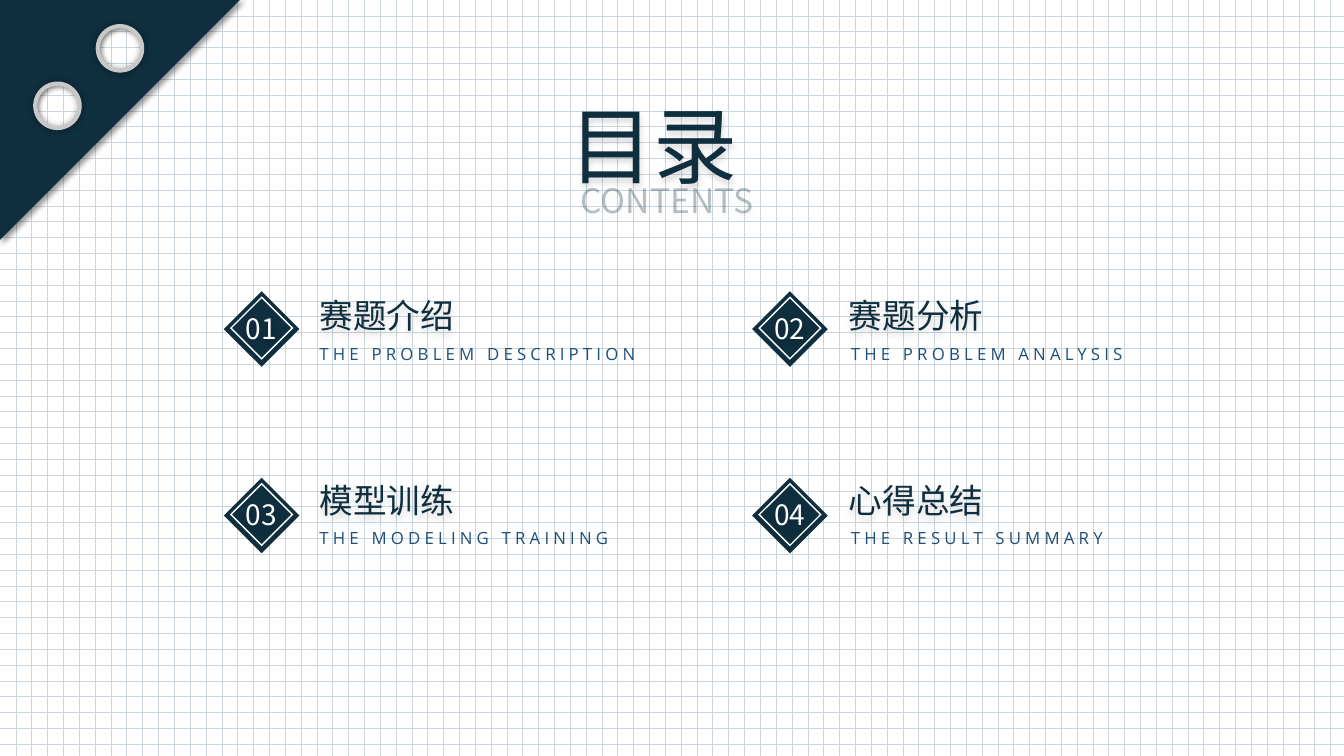
"""Build the contents slide with four numbered sections on a squared-paper background."""
from lxml.etree import SubElement
from pptx import Presentation
from pptx.dml.color import RGBColor
from pptx.enum.dml import MSO_PATTERN
from pptx.enum.shapes import MSO_SHAPE
from pptx.enum.text import MSO_ANCHOR, MSO_AUTO_SIZE, PP_ALIGN
from pptx.oxml.ns import qn
from pptx.util import Inches, Pt

NAVY = RGBColor(0x0F, 0x2E, 0x3E)
GRID_BLUE = RGBColor(0x1B, 0x51, 0x6D)
CAPTION_BLUE = RGBColor(0x1F, 0x4E, 0x79)
RING_GRAY = RGBColor(0xC8, 0xC8, 0xC8)
WHITE = RGBColor(0xFF, 0xFF, 0xFF)
CHINESE_FONT = "Noto Sans CJK SC"
LATIN_FONT = "Open Sans"


def write_text(shape, text, size, font, color, wrap=True, align=PP_ALIGN.LEFT):
    """Put one formatted line of text in a shape and return its run."""
    frame = shape.text_frame
    frame.text = text
    frame.word_wrap = wrap
    frame.auto_size = MSO_AUTO_SIZE.SHAPE_TO_FIT_TEXT
    frame.vertical_anchor = MSO_ANCHOR.TOP
    paragraph = frame.paragraphs[0]
    paragraph.alignment = align
    run = paragraph.runs[0]
    run.font.size = Pt(size)
    run.font.name = font
    run.font.color.rgb = color
    SubElement(run.font._element, qn("a:ea"), typeface=font)
    return run


def add_shadow(shape, blur, distance, angle, opacity):
    """Give a shape a soft black outer shadow."""
    shape.shadow.inherit = False
    effects = shape.element.spPr.find(qn("a:effectLst"))
    shadow = SubElement(effects, qn("a:outerShdw"), blurRad=str(Pt(blur)), dist=str(Pt(distance)),
                        dir=str(angle * 60000), algn="tl", rotWithShape="0")
    black = SubElement(shadow, qn("a:srgbClr"), val="000000")
    SubElement(black, qn("a:alpha"), val=str(opacity * 1000))


presentation = Presentation()
presentation.slide_width = Inches(13.33)
presentation.slide_height = Inches(7.5)
slide = presentation.slides.add_slide(presentation.slide_layouts[5])
shapes = slide.shapes

paper = shapes.add_shape(MSO_SHAPE.RECTANGLE, 0, 0, Inches(13.35), Inches(7.53))
paper.fill.patterned()
paper.fill.pattern = MSO_PATTERN.DOTTED_GRID
paper.fill.fore_color.rgb = GRID_BLUE
paper.fill.back_color.rgb = WHITE
veil = shapes.add_shape(MSO_SHAPE.RECTANGLE, 0, Inches(-0.01), Inches(13.35), Inches(7.53))
veil.fill.solid()
veil.fill.fore_color.rgb = WHITE
SubElement(veil.element.spPr.find(".//" + qn("a:srgbClr")), qn("a:alpha"), val="77000")
for layer in (paper, veil):
    layer.line.fill.background()
    layer.shadow.inherit = False

RING_RADIUS = 0.22
RING_CENTERS = [(1.19, 0.48), (0.57, 1.05)]
BEND = 0.55
RIM_POINTS = [(-1, 0), (-1, -BEND), (-BEND, -1), (0, -1), (BEND, -1), (1, -BEND), (1, 0),
              (1, BEND), (BEND, 1), (0, 1), (-BEND, 1), (-1, BEND), (-1, 0)]
corner_group = shapes.add_group_shape()
builder = corner_group.shapes.build_freeform(Inches(2.39), Inches(-0.01))
builder.add_line_segments([(Inches(-0.01), Inches(2.39)), (Inches(-0.01), Inches(-0.01))])
for center_x, center_y in RING_CENTERS:
    rim = [(Inches(center_x + RING_RADIUS * x), Inches(center_y + RING_RADIUS * y))
           for x, y in RIM_POINTS]
    builder.move_to(*rim[0])
    builder.add_line_segments(rim[1:])
corner = builder.convert_to_shape()
rim_lines = corner.element.spPr.findall(".//" + qn("a:lnTo"))[2:26]
for start in range(0, len(rim_lines), 3):
    curve = SubElement(rim_lines[start].getparent(), qn("a:cubicBezTo"))
    rim_lines[start].addprevious(curve)
    for line in rim_lines[start:start + 3]:
        curve.append(line[0])
        line.getparent().remove(line)
corner.fill.solid()
corner.fill.fore_color.rgb = NAVY
corner.line.fill.background()
add_shadow(corner, 4, 3, 45, 40)

for center_x, center_y in RING_CENTERS:
    ring = corner_group.shapes.add_shape(
        MSO_SHAPE.OVAL, Inches(center_x - RING_RADIUS), Inches(center_y - RING_RADIUS),
        Inches(2 * RING_RADIUS), Inches(2 * RING_RADIUS))
    ring.fill.background()
    ring.line.color.rgb = RING_GRAY
    ring.line.width = Pt(3)
    add_shadow(ring, 5, 0, 0, 40)

title = shapes.title
title.left, title.top, title.width, title.height = Inches(5.55), Inches(0.88), Inches(2.23), Inches(1.11)
write_text(title, "目录", 60, CHINESE_FONT, NAVY, align=PP_ALIGN.JUSTIFY)
add_shadow(title, 5, 3, 90, 15)
corner_group.element.addnext(title.element)

subtitle = shapes.add_textbox(Inches(5.66), Inches(1.74), Inches(2.06), Inches(0.5))
subtitle_run = write_text(subtitle, "CONTENTS", 24, CHINESE_FONT, NAVY, align=PP_ALIGN.JUSTIFY)
SubElement(subtitle_run.font._element.find(".//" + qn("a:srgbClr")), qn("a:alpha"), val="30000")
add_shadow(subtitle, 5, 3, 90, 15)

SECTIONS = [
    ("赛题介绍", "THE PROBLEM DESCRIPTION", 3.72),
    ("赛题分析", "THE PROBLEM ANALYSIS", 3.27),
    ("模型训练", "THE MODELING TRAINING", 3.4),
    ("心得总结", "THE RESULT SUMMARY", 3.04),
]
for index, (heading_text, caption_text, caption_width) in enumerate(SECTIONS):
    row, column = divmod(index, 2)

    heading = shapes.add_textbox(Inches(3.07 + column * 5.25), Inches(2.88 + row * 1.83),
                                 Inches(3.02), Inches(0.5))
    write_text(heading, heading_text, 24, CHINESE_FONT, NAVY)
    add_shadow(heading, 5, 3, 90, 15)

    caption = shapes.add_textbox(Inches(3.07 + column * 5.27), Inches(3.36 + row * 1.83),
                                 Inches(caption_width), Inches(0.3))
    caption_run = write_text(caption, caption_text, 12, LATIN_FONT, CAPTION_BLUE, wrap=False)
    caption_run.font._element.set("spc", "300")

    left = 2.23 + column * 5.24
    top = 2.9 + row * 1.85
    parts = shapes.add_group_shape().shapes
    badge = parts.add_shape(MSO_SHAPE.DIAMOND, Inches(left), Inches(top), Inches(0.73), Inches(0.73))
    badge.fill.solid()
    badge.fill.fore_color.rgb = NAVY
    badge.line.color.rgb = NAVY

    number = parts.add_textbox(Inches(left + 0.11), Inches(top + 0.14), Inches(0.58), Inches(0.44))
    write_text(number, f"{index + 1:02d}", 20, CHINESE_FONT, WHITE)
    add_shadow(number, 5, 3, 90, 15)

    frame = parts.add_shape(MSO_SHAPE.DIAMOND, Inches(left + 0.06), Inches(top + 0.05),
                            Inches(0.61), Inches(0.61))
    frame.fill.background()
    frame.line.color.rgb = WHITE
    for diamond in (badge, frame):
        diamond.line.width = Pt(1)
        SubElement(diamond.element.spPr.find(qn("a:ln")), qn("a:miter"), lim="800000")
        diamond.shadow.inherit = False

presentation.save("out.pptx")
